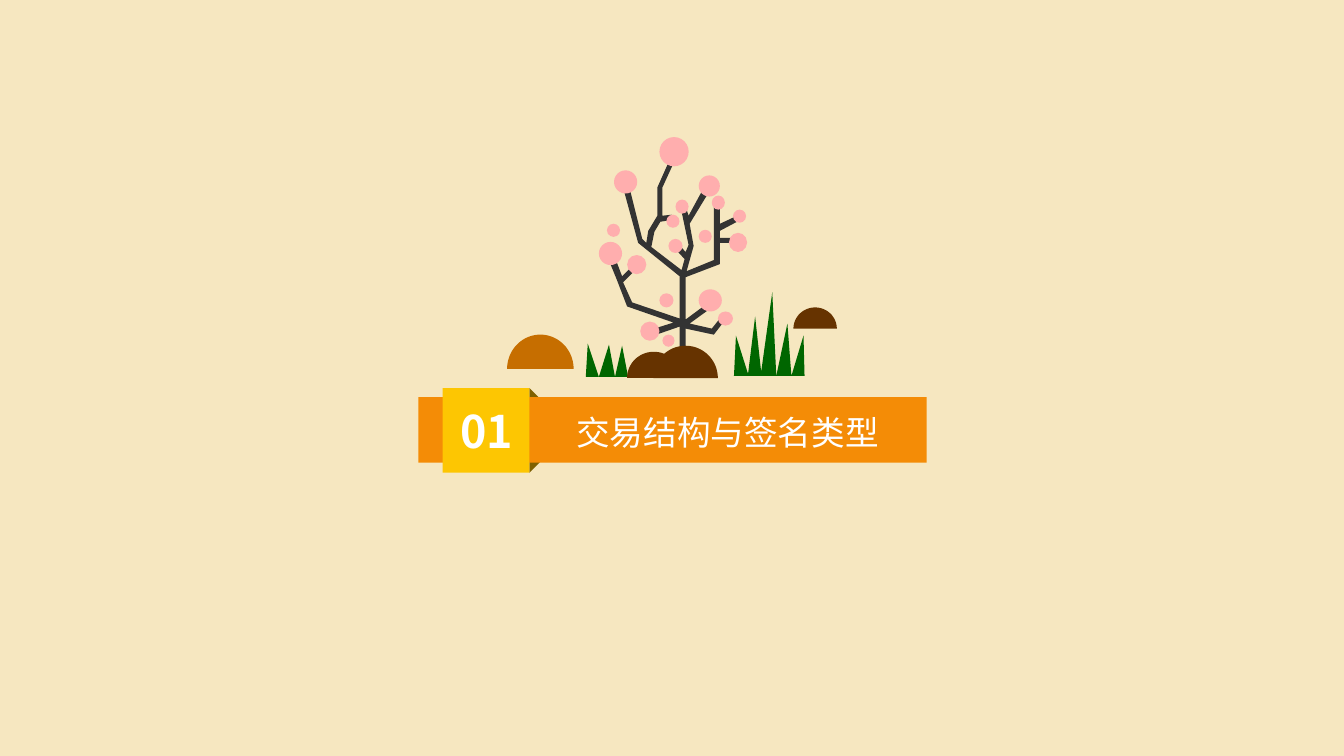
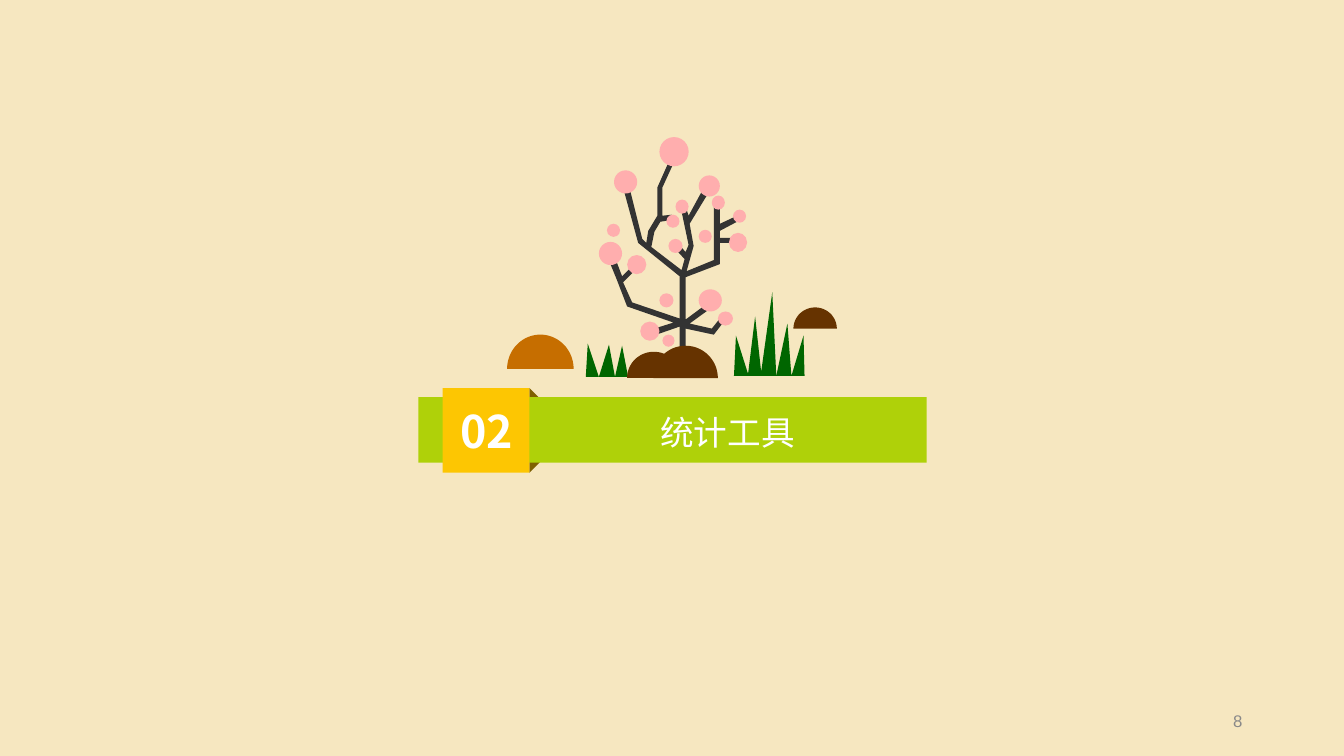
from math import cos, pi, sin

from lxml.etree import SubElement
from pptx import Presentation
from pptx.dml.color import RGBColor
from pptx.enum.shapes import MSO_SHAPE
from pptx.enum.text import MSO_ANCHOR, PP_ALIGN
from pptx.oxml.ns import qn
from pptx.util import Inches, Pt

COLORS = {
    "sand": "F6E7C0", "grass": "006600", "soil": "663300", "clay": "C66E00",
    "bark": "333333", "bloom": "FFAEAE", "fold": "7F6000", "badge": "FDC602",
    "orange": "F48C06", "lime": "AFD109", "white": "FFFFFF", "gray": "898989",
}
CJK = "Noto Sans CJK SC"
STYLES = {
    "number": {"name": CJK, "size": Pt(32), "bold": True, "color": "white"},
    "title": {"name": CJK, "size": Pt(24), "color": "white"},
    "page": {"name": "Arial", "size": Pt(12), "color": "gray"},
}
SECTIONS = [
    ("01", "交易结构与签名类型", "orange", None),
    ("02", "统计工具", "lime", "8"),
]

TREE = [
    (7.14, 2.29), (7.31, 2.2), (7.29, 2.15), (7.14, 2.22), (7.14, 2.05),
    (7.08, 2.05), (7.08, 2.58), (6.81, 2.69), (6.88, 2.44), (6.84, 2.22),
    (7.01, 1.94), (6.96, 1.9), (6.83, 2.14), (6.79, 2.02), (6.75, 2.05),
    (6.83, 2.43), (6.8, 2.5), (6.72, 2.41), (6.68, 2.45), (6.79, 2.57),
    (6.76, 2.68), (6.46, 2.45), (6.49, 2.3), (6.55, 2.2), (6.67, 2.18),
    (6.66, 2.13), (6.57, 2.14), (6.57, 1.86), (6.68, 1.62), (6.64, 1.59),
    (6.52, 1.86), (6.52, 2.14), (6.43, 2.29), (6.41, 2.41), (6.37, 2.37),
    (6.24, 1.85), (6.18, 1.86), (6.33, 2.41), (6.74, 2.74), (6.74, 3.16),
    (6.27, 3), (6.18, 2.8), (6.3, 2.68), (6.27, 2.64), (6.17, 2.74),
    (6.09, 2.53), (6.03, 2.56), (6.12, 2.78), (6.22, 3.04), (6.68, 3.2),
    (6.49, 3.26), (6.51, 3.32), (6.74, 3.24), (6.74, 3.64), (6.8, 3.64),
    (6.8, 3.26), (7.08, 3.32), (7.18, 3.19), (7.14, 3.16), (7.06, 3.26),
    (6.84, 3.21), (7.06, 3.05), (7.03, 3), (6.8, 3.17), (6.8, 2.75),
    (7.14, 2.62), (7.14, 2.41), (7.27, 2.41), (7.27, 2.36), (7.14, 2.36),
]
TUFT = [
    (5.81, 3.74), (5.83, 3.41), (5.94, 3.74), (6.04, 3.42), (6.1, 3.74),
    (6.17, 3.43), (6.23, 3.74),
]
REEDS = [
    (7.28, 3.73), (7.3, 3.33), (7.42, 3.71), (7.49, 3.14), (7.55, 3.69),
    (7.66, 2.9), (7.7, 3.73), (7.81, 3.21), (7.85, 3.73), (7.97, 3.33),
    (7.98, 3.73),
]
BLOOMS = [
    (6.54, 1.36, 0.29, 0.29), (6.09, 1.69, 0.23, 0.23),
    (6.22, 2.53, 0.19, 0.19), (7.23, 2.31, 0.18, 0.19),
    (7.12, 3.09, 0.15, 0.14), (6.93, 2.87, 0.23, 0.22),
    (6.35, 3.19, 0.19, 0.19), (6.57, 3.32, 0.12, 0.12),
    (6.02, 2.22, 0.13, 0.13), (7.27, 2.08, 0.13, 0.13),
    (6.61, 2.13, 0.13, 0.13), (6.7, 1.98, 0.13, 0.14),
    (6.63, 2.37, 0.14, 0.14), (6.54, 2.91, 0.14, 0.14),
    (7.06, 1.94, 0.13, 0.14), (6.93, 1.74, 0.21, 0.21),
    (6.93, 2.28, 0.13, 0.13), (5.94, 2.4, 0.23, 0.23),
]


def rgb(color):
    return RGBColor.from_string(COLORS[color])


def paint(shape, color):
    shape.shadow.inherit = False
    shape.fill.solid()
    shape.fill.fore_color.rgb = rgb(color)
    shape.line.fill.background()
    return shape


def block(shapes, kind, box, color):
    return paint(shapes.add_shape(kind, *map(Inches, box)), color)


def outline(shapes, points, color):
    """Draw a closed polygon from points in inches."""
    spots = [(Inches(x), Inches(y)) for x, y in points]
    form = shapes.build_freeform(*spots[0])
    form.add_line_segments(spots[1:])
    paint(form.convert_to_shape(), color)


def dome(shapes, left, top, width, height, color, steps=40):
    """Draw the upper half of an ellipse."""
    turns = [pi * i / steps for i in range(steps + 1)]
    points = [(left + width / 2 * (1 - cos(t)), top + height * (1 - sin(t)))
              for t in turns]
    outline(shapes, points, color)


def label(shapes, text, box, style, align, wrap=True):
    frame = shapes.add_textbox(*map(Inches, box)).text_frame
    frame.word_wrap = wrap
    frame.vertical_anchor = MSO_ANCHOR.MIDDLE
    para = frame.paragraphs[0]
    para.alignment = align
    run = para.add_run()
    run.text = text
    for key, value in STYLES[style].items():
        if key == "color":
            run.font.color.rgb = rgb(value)
        else:
            setattr(run.font, key, value)
    face = SubElement(run.font._element, qn("a:ea"))
    face.set("typeface", run.font.name)


def garden(shapes):
    outline(shapes, TUFT, "grass")
    dome(shapes, 7.87, 3.05, 0.43, 0.21, "soil")
    dome(shapes, 5.03, 3.32, 0.66, 0.34, "clay")
    dome(shapes, 6.22, 3.49, 0.53, 0.26, "soil")
    outline(shapes, TREE, "bark")
    for box in BLOOMS:
        block(shapes, MSO_SHAPE.OVAL, box, "bloom")
    outline(shapes, REEDS, "grass")
    dome(shapes, 6.48, 3.43, 0.64, 0.32, "soil")


def banner(shapes, number, title, color):
    parts = shapes.add_group_shape().shapes
    for top, turn in ((3.85, 0), (4.5, 90)):
        fold = block(parts, MSO_SHAPE.RIGHT_TRIANGLE,
                     (5.25, top, 0.19, 0.19), "fold")
        fold.rotation = turn
    block(parts, MSO_SHAPE.RECTANGLE, (4.15, 3.94, 5.04, 0.65), color)
    block(parts, MSO_SHAPE.RECTANGLE, (4.39, 3.85, 0.86, 0.84), "badge")
    label(shapes, number, (4.45, 3.95, 0.76, 0.64), "number",
          PP_ALIGN.CENTER, wrap=False)
    label(shapes, title, (5.01, 4.01, 4.41, 0.55), "title", PP_ALIGN.CENTER)


def main():
    deck = Presentation()
    deck.slide_width, deck.slide_height = Inches(13.33), Inches(7.5)
    back = deck.slide_master.background.fill
    back.solid()
    back.fore_color.rgb = rgb("sand")
    for number, title, color, page in SECTIONS:
        shapes = deck.slides.add_slide(deck.slide_layouts[6]).shapes
        garden(shapes)
        banner(shapes, number, title, color)
        if page:
            label(shapes, page, (9.42, 6.95, 3, 0.4), "page", PP_ALIGN.RIGHT)
    deck.save("out.pptx")


if __name__ == "__main__":
    main()
